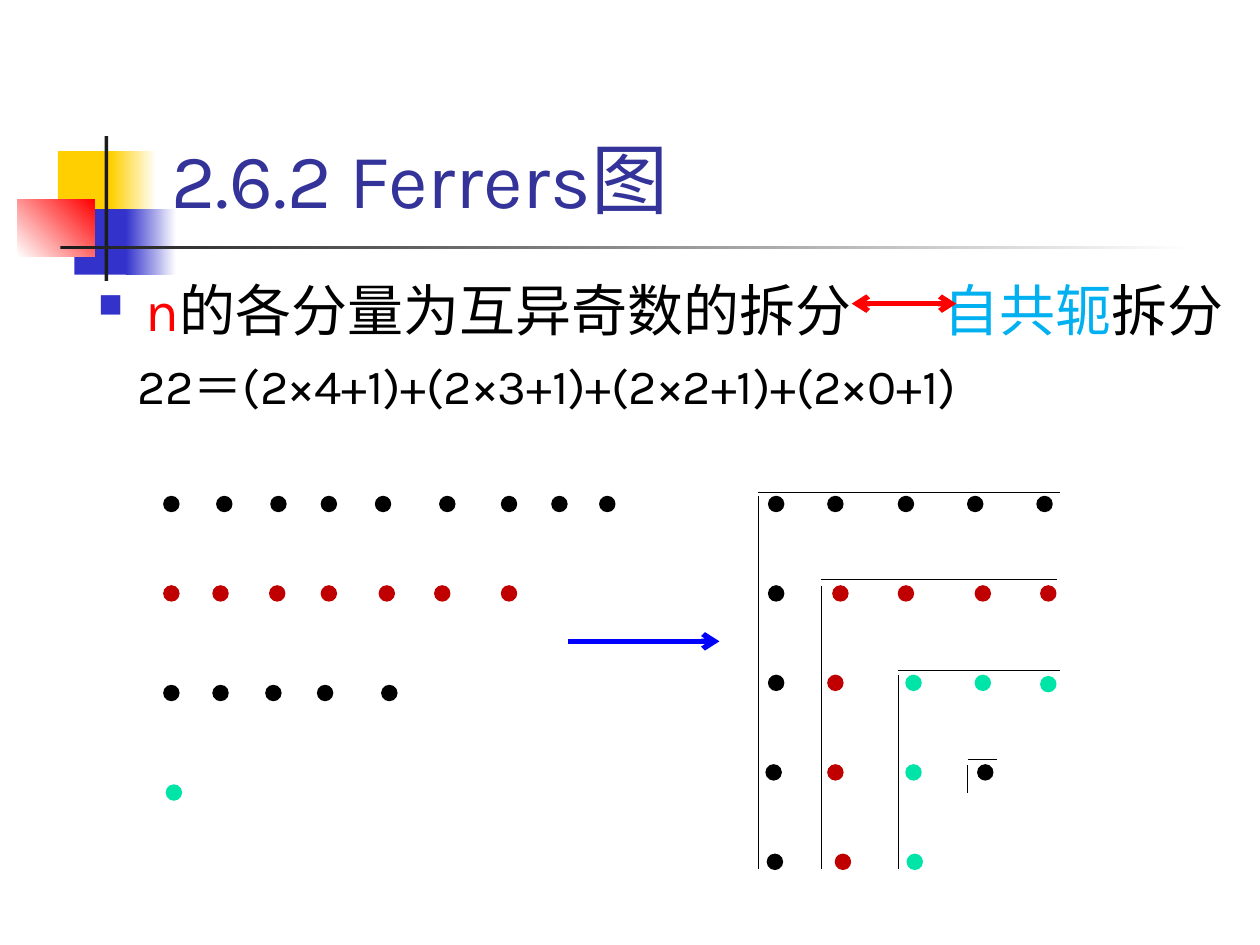
from dataclasses import dataclass
from typing import Optional

from lxml.etree import SubElement
from pptx import Presentation
from pptx.dml.color import RGBColor
from pptx.enum.shapes import MSO_CONNECTOR, MSO_SHAPE
from pptx.enum.text import MSO_ANCHOR
from pptx.oxml.ns import qn
from pptx.util import Emu, Pt

PX = 9144  # one px is a hundredth of an inch


@dataclass(frozen=True)
class Theme:
    font: str = "Karla"
    title_size: int = 44
    body_size: int = 32
    formula_size: int = 28
    thin: float = 0.75
    thick: float = 3
    white: str = "FFFFFF"
    black: str = "000000"
    ink: str = "1C1C1C"
    yellow: str = "FFCF01"
    indigo: str = "3333CC"
    title: str = "333399"
    red: str = "FF0000"
    blue: str = "0000FF"
    sky: str = "00B0F0"
    crimson: str = "C00000"
    mint: str = "00E4A8"


THEME = Theme()
DOT = 12


@dataclass(frozen=True)
class Block:
    left: int
    top: int
    width: int
    height: int
    color: str
    fade_to: Optional[str] = None
    angle: int = 0


@dataclass(frozen=True)
class DotRow:
    top: int
    color: str
    lefts: tuple[int, ...]


@dataclass(frozen=True)
class Hook:
    """A corner of the diagram: two rules, dots along the arm and down the leg."""
    color: str
    rule_left: int
    rule_top: int
    rule_right: int
    leg_start: int
    leg_end: int
    dots: tuple[tuple[int, int], ...]


ORNAMENT = (
    Block(46, 120, 48, 52, THEME.yellow),
    Block(88, 120, 36, 52, THEME.yellow, THEME.white),
    Block(59, 166, 46, 52, THEME.indigo),
    Block(100, 166, 40, 52, THEME.indigo, THEME.white),
    Block(14, 158, 61, 46, THEME.white, THEME.red, 45),
    Block(83, 108, 3, 115, THEME.ink),
    Block(48, 195, 900, 3, THEME.ink, THEME.white),
)

PARTITION = (
    DotRow(394, THEME.black, (130, 172, 215, 255, 298, 349, 398, 438, 476)),
    DotRow(465, THEME.crimson, (130, 169, 214, 255, 301, 345, 398)),
    DotRow(544, THEME.black, (130, 169, 211, 252, 303)),
    DotRow(623, THEME.mint, (132,)),
)

HOOKS = (
    Hook(THEME.black, 602, 391, 841, 394, 690,
         ((610, 394), (657, 394), (713, 394), (768, 394), (823, 394),
          (610, 465), (610, 536), (608, 607), (609, 678))),
    Hook(THEME.crimson, 652, 460, 839, 465, 690,
         ((661, 465), (713, 465), (774, 465), (826, 465),
          (657, 536), (657, 607), (663, 678))),
    Hook(THEME.mint, 713, 532, 841, 536, 690,
         ((719, 536), (774, 536), (826, 537), (719, 607), (720, 678))),
    Hook(THEME.black, 768, 603, 791, 607, 629, ((776, 607),)),
)


def px(value: int) -> Emu:
    return Emu(value * PX)


def rgb(color: str) -> RGBColor:
    return RGBColor.from_string(color)


def add_block(slide, block: Block) -> None:
    shape = slide.shapes.add_shape(MSO_SHAPE.RECTANGLE, px(block.left), px(block.top),
                                   px(block.width), px(block.height))
    shape.shadow.inherit = False
    shape.line.fill.background()
    if block.fade_to is None:
        shape.fill.solid()
        shape.fill.fore_color.rgb = rgb(block.color)
        return
    shape.fill.gradient()
    shape.fill.gradient_angle = block.angle
    for stop, color in zip(shape.fill.gradient_stops, (block.color, block.fade_to)):
        stop.color.rgb = rgb(color)


def add_dot(slide, left: int, top: int, color: str) -> None:
    dot = slide.shapes.add_shape(MSO_SHAPE.OVAL, px(left), px(top), px(DOT), px(DOT))
    dot.shadow.inherit = False
    dot.fill.solid()
    dot.fill.fore_color.rgb = rgb(color)
    dot.line.color.rgb = rgb(color)
    dot.line.width = Pt(THEME.thin)


def add_line(slide, start: tuple[int, int], end: tuple[int, int], color: str,
             width: float, arrow_ends: tuple[str, ...] = ()) -> None:
    line = slide.shapes.add_connector(MSO_CONNECTOR.STRAIGHT, px(start[0]), px(start[1]),
                                      px(end[0]), px(end[1]))
    line.line.color.rgb = rgb(color)
    line.line.width = Pt(width)
    for name in arrow_ends:
        SubElement(line.line._get_or_add_ln(), qn(f"a:{name}"), type="arrow")
    SubElement(line._element.spPr, qn("a:effectLst"))


def add_hook(slide, hook: Hook) -> None:
    add_line(slide, (hook.rule_left, hook.rule_top), (hook.rule_right, hook.rule_top),
             THEME.black, THEME.thin)
    add_line(slide, (hook.rule_left, hook.leg_start), (hook.rule_left, hook.leg_end),
             THEME.black, THEME.thin)
    for left, top in hook.dots:
        add_dot(slide, left, top, hook.color)


def add_text_frame(slide, left: int, top: int, width: int, height: int, anchor: MSO_ANCHOR):
    frame = slide.shapes.add_textbox(px(left), px(top), px(width), px(height)).text_frame
    frame.word_wrap = True
    frame.vertical_anchor = anchor
    return frame


def set_font(paragraph, size: int, color: Optional[str] = None) -> None:
    paragraph.font.name = THEME.font
    paragraph.font.size = Pt(size)
    if color:
        paragraph.font.color.rgb = rgb(color)


def add_bullet_and_tab(paragraph, indent: int, tab: int) -> None:
    properties = paragraph._p.get_or_add_pPr()
    properties.set("marL", str(px(indent)))
    properties.set("indent", str(px(-indent)))
    bullet_color = SubElement(properties, qn("a:buClr"))
    SubElement(bullet_color, qn("a:srgbClr"), val=THEME.indigo)
    SubElement(properties, qn("a:buSzPct"), val="60000")
    SubElement(properties, qn("a:buChar"), char="■")
    tabs = SubElement(properties, qn("a:tabLst"))
    SubElement(tabs, qn("a:tab"), pos=str(px(tab)), algn="l")


def add_body(slide) -> None:
    frame = add_text_frame(slide, 68, 202, 932, 548, MSO_ANCHOR.TOP)
    statement = frame.paragraphs[0]
    add_bullet_and_tab(statement, indent=38, tab=671)
    statement.line_spacing = Pt(47)
    statement.space_before = Pt(8)
    set_font(statement, THEME.body_size)
    for text, color in (("n", THEME.red), ("的各分量为互异奇数的拆分\t", THEME.black),
                        ("自共轭", THEME.sky), ("拆分", THEME.black)):
        run = statement.add_run()
        run.text = text
        run.font.color.rgb = rgb(color)

    formula = frame.add_paragraph()
    formula.text = "22＝(2×4+1)+(2×3+1)+(2×2+1)+(2×0+1)"
    formula._p.get_or_add_pPr().set("marL", str(px(31)))
    formula.space_before = Pt(7)
    set_font(formula, THEME.formula_size, THEME.black)


def main() -> None:
    presentation = Presentation()
    presentation.slide_width, presentation.slide_height = px(1000), px(750)
    slide = presentation.slides.add_slide(presentation.slide_layouts[6])

    # Ornament and title
    for block in ORNAMENT:
        add_block(slide, block)
    title = add_text_frame(slide, 126, 23, 852, 160, MSO_ANCHOR.BOTTOM).paragraphs[0]
    title.text = "2.6.2 Ferrers图"
    set_font(title, THEME.title_size, THEME.title)

    # Statement and formula
    add_body(slide)
    add_line(slide, (676, 241), (759, 241), THEME.red, THEME.thick, ("headEnd", "tailEnd"))

    # Partition into odd parts, turned into nested hooks
    for row in PARTITION:
        for left in row.lefts:
            add_dot(slide, left, row.top, row.color)
    add_line(slide, (451, 509), (571, 509), THEME.blue, THEME.thick, ("tailEnd",))
    for hook in HOOKS:
        add_hook(slide, hook)

    presentation.save("out.pptx")


if __name__ == "__main__":
    main()
